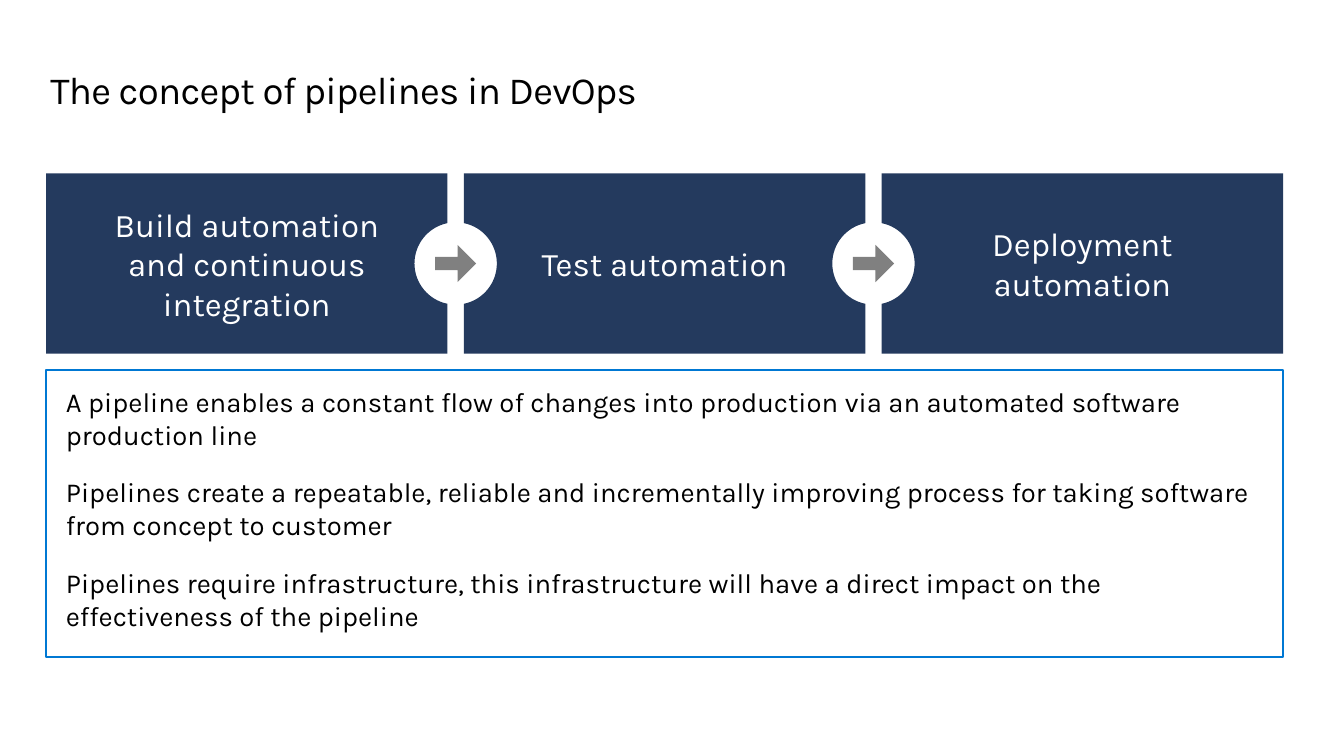
from math import acos, sin, tan

from lxml import etree
from pptx import Presentation
from pptx.dml.color import RGBColor
from pptx.enum.shapes import MSO_SHAPE
from pptx.enum.text import MSO_ANCHOR, PP_ALIGN
from pptx.oxml.ns import qn
from pptx.util import Pt

RECTANGLE, RIGHT_ARROW = MSO_SHAPE.RECTANGLE, MSO_SHAPE.RIGHT_ARROW
TOP, MIDDLE = MSO_ANCHOR.TOP, MSO_ANCHOR.MIDDLE
LEFT, CENTER = PP_ALIGN.LEFT, PP_ALIGN.CENTER

COLORS = {
    "navy": RGBColor.from_string("243A5E"),
    "gray": RGBColor.from_string("808080"),
    "blue": RGBColor.from_string("0078D3"),
    "white": RGBColor.from_string("FFFFFF"),
    "black": RGBColor.from_string("000000"),
}
STAGES = [
    "Build automation\nand continuous integration",
    "Test automation",
    "Deployment\nautomation",
]
BENEFITS = [
    "A pipeline enables a constant flow of changes into production via an automated software production line",
    "Pipelines create a repeatable, reliable and incrementally improving process for taking software from concept to customer",
    "Pipelines require infrastructure, this infrastructure will have a direct impact on the effectiveness of the pipeline",
]

# Stages: equal boxes with a round notch centred on every gap
row_left, row_top, row_width, row_height = 33.6, 126.4, 901.2, 131.2
gap, radius = 12, 30
stage_width = (row_width - gap * (len(STAGES) - 1)) / len(STAGES)
row_bottom, row_middle = row_top + row_height, row_top + row_height / 2
arrow_width, arrow_height = 30, 27.2


def write(shape, texts, size, color, align, anchor, inset_x, inset_y):
    """Fill a shape with one paragraph per text and return the paragraphs."""
    frame = shape.text_frame
    frame.word_wrap = True
    frame.vertical_anchor = anchor
    frame.margin_left = frame.margin_right = Pt(inset_x)
    frame.margin_top = frame.margin_bottom = Pt(inset_y)
    for index, text in enumerate(texts):
        paragraph = frame.add_paragraph() if index else frame.paragraphs[0]
        paragraph.text = text
        paragraph.alignment = align
        paragraph.font.name = "Karla"
        paragraph.font.size = Pt(size)
        paragraph.font.color.rgb = COLORS[color]
    return frame.paragraphs


def notch(edge, side):
    """Return a line and two curves; side is 1 on a left edge, -1 on a right edge."""
    half_angle = acos(gap / 2 / radius)
    reach = radius * 4 / 3 * tan(half_angle / 4)
    rise = side * radius * sin(half_angle)
    apex = edge + side * (radius - gap / 2)
    shoulder = edge + side * reach * sin(half_angle)
    dip = side * reach * gap / 2 / radius
    return [
        [(edge, row_middle + rise)],
        [(shoulder, row_middle + rise - dip), (apex, row_middle + side * reach), (apex, row_middle)],
        [(apex, row_middle - side * reach), (shoulder, row_middle - rise + dip), (edge, row_middle - rise)],
    ]


deck = Presentation()
deck.slide_width, deck.slide_height = Pt(979.2), Pt(550.8)
slide = deck.slides.add_slide(deck.slide_layouts[6])
shapes = slide.shapes

title = shapes.add_textbox(Pt(36.7), Pt(49.7), Pt(908), Pt(32.4))
heading = write(title, ["The concept of pipelines in DevOps"], 28, "black", LEFT, TOP, 0, 0)[0]
heading.line_spacing = Pt(32)
heading.runs[0].font._element.set("spc", "-50")

for index, stage in enumerate(STAGES):
    left = row_left + index * (stage_width + gap)
    right = left + stage_width
    last = index == len(STAGES) - 1
    segments = [[(right, row_top)]]
    if not last:
        segments += notch(right, -1)
    segments += [[(right, row_bottom)], [(left, row_bottom)]]
    if index:
        segments += notch(left, 1)

    builder = shapes.build_freeform(Pt(left), Pt(row_top))
    builder.add_line_segments([(Pt(x), Pt(y)) for x, y in (segment[-1] for segment in segments)])
    box = builder.convert_to_shape()
    for line, segment in zip(list(box._element.iter(qn("a:lnTo"))), segments):
        if len(segment) == 3:
            line.tag = qn("a:cubicBezTo")
            for position, (x, y) in enumerate(segment[:2]):
                control = etree.Element(qn("a:pt"), x=str(Pt(x - left)), y=str(Pt(y - row_top)))
                line.insert(position, control)
    box.shadow.inherit = False
    box.fill.solid()
    box.fill.fore_color.rgb = COLORS["navy"]
    box.line.fill.background()
    write(box, [stage], 24, "white", CENTER, MIDDLE, 8.6, 8.6)

    if not last:
        arrow = shapes.add_shape(
            RIGHT_ARROW,
            Pt(right + gap / 2 - arrow_width / 2), Pt(row_middle - arrow_height / 2),
            Pt(arrow_width), Pt(arrow_height),
        )
        arrow.adjustments[0] = 0.35
        arrow.shadow.inherit = False
        arrow.fill.solid()
        arrow.fill.fore_color.rgb = COLORS["gray"]
        arrow.line.fill.background()

benefits = shapes.add_shape(RECTANGLE, Pt(row_left), Pt(269.6), Pt(row_width), Pt(209.2))
benefits.shadow.inherit = False
benefits.fill.background()
benefits.line.color.rgb = COLORS["blue"]
benefits.line.width = Pt(1.5)
for benefit in write(benefits, BENEFITS, 20, "black", LEFT, TOP, 14.4, 10.8):
    benefit.space_before = Pt(18)

deck.save("out.pptx")
